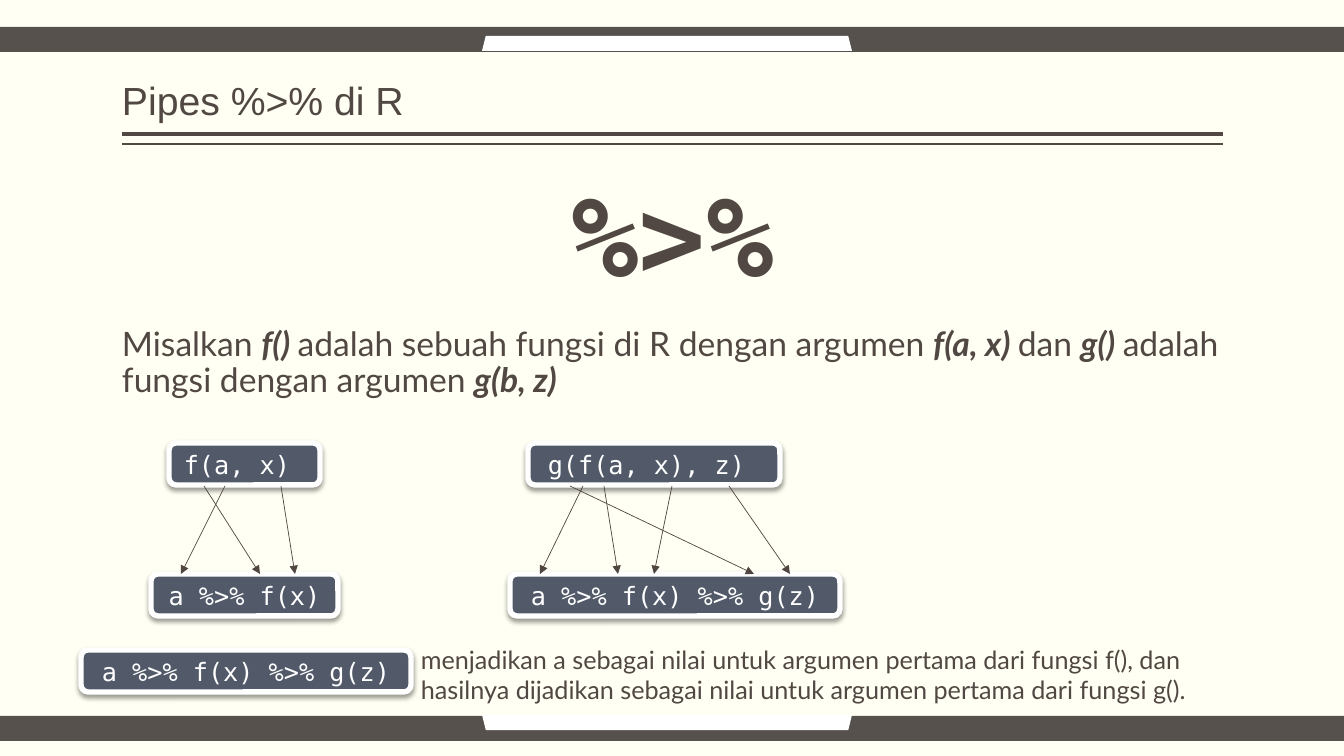
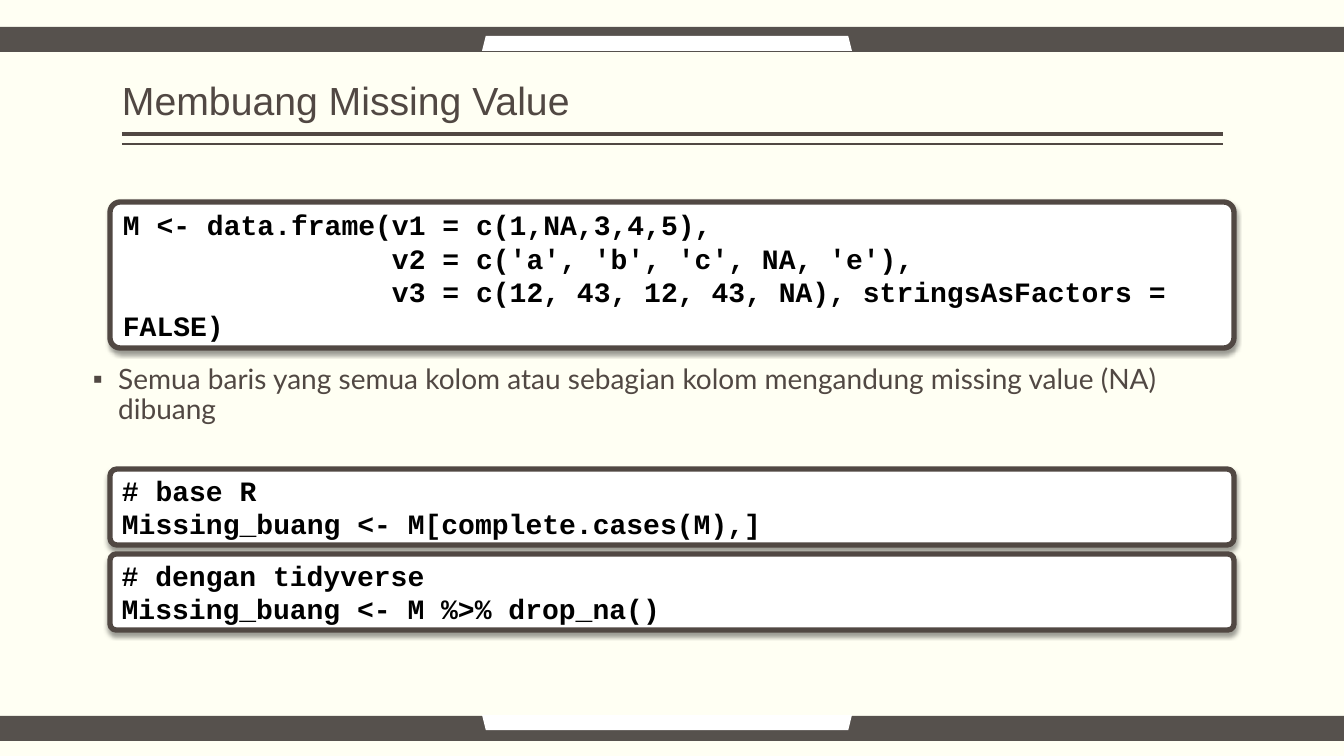
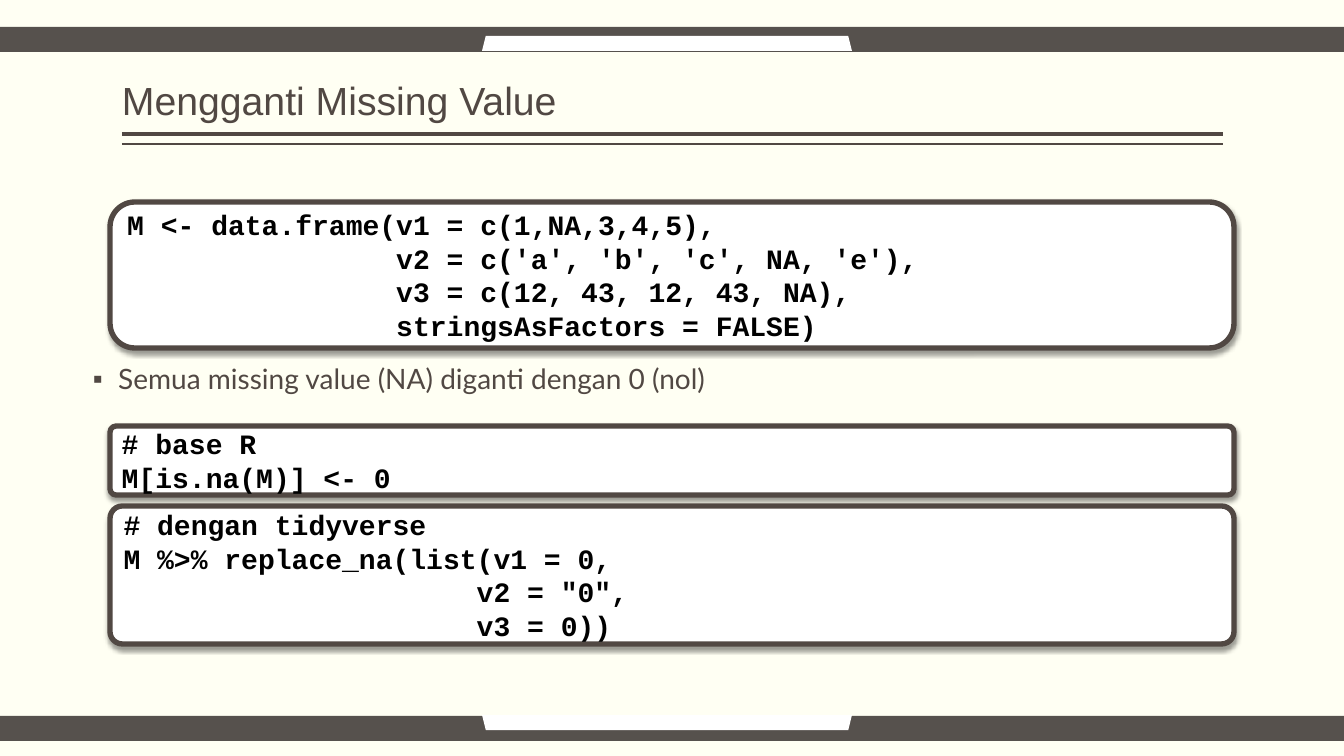
import lxml.etree
import pptx
import pptx.dml.color
import pptx.enum.shapes
import pptx.enum.text
import pptx.oxml.ns
import pptx.util

RGBColor = pptx.dml.color.RGBColor
SHAPE = pptx.enum.shapes.MSO_SHAPE
ALIGN = pptx.enum.text.PP_ALIGN
ANCHOR = pptx.enum.text.MSO_ANCHOR

CREAM = RGBColor(0xFF, 0xFF, 0xF3)
BROWN = RGBColor(0x51, 0x48, 0x43)
BAND = RGBColor(0x56, 0x51, 0x4D)
ARROW = RGBColor(0x50, 0x46, 0x41)
SLATE = RGBColor(0x52, 0x5A, 0x6A)
WHITE = RGBColor(0xFF, 0xFF, 0xFF)
BLACK = RGBColor(0x00, 0x00, 0x00)

TITLE_FONT = "Arial"
BODY_FONT = "Lato"
CODE_FONT = "Courier New"
CHIP_FONT = "DejaVu Sans Mono"

SLIDE_W, SLIDE_H = 1344, 756
EMU_PER_PX = 12192000 / SLIDE_W
MARGIN, CONTENT_W = 122, 1101
CHIP_H = 42

PIPE_CHAIN = "a %>% f(x) %>% g(z)"
FRAME_HEAD = """M <- data.frame(v1 = c(1,NA,3,4,5),
                v2 = c('a', 'b', 'c', NA, 'e'),
                v3 = c(12, 43, 12, 43, NA),"""


def px(*lengths):
    """Turn px lengths into a list of EMU."""
    return [pptx.util.Emu(round(length * EMU_PER_PX)) for length in lengths]


def add_xml(parent, tag, **attributes):
    return lxml.etree.SubElement(parent, pptx.oxml.ns.qn(tag), **attributes)


def move(shape, box):
    shape.left, shape.top, shape.width, shape.height = px(*box)


def style_run(run, font, size, color, bold=False, italic=False):
    run.font.name = font
    run.font.size = pptx.util.Pt(size)
    run.font.color.rgb = color
    run.font.bold = bold
    run.font.italic = italic


def style_text(frame, font, size, color, bold=False, align=ALIGN.LEFT):
    for paragraph in frame.paragraphs:
        paragraph.alignment = align
        for run in paragraph.runs:
            style_run(run, font, size, color, bold)


def set_placeholder_frame(frame, anchor):
    frame.auto_size = pptx.enum.text.MSO_AUTO_SIZE.NONE
    frame.word_wrap = True
    frame.vertical_anchor = anchor
    frame.margin_left = frame.margin_right = 0
    frame.margin_top = frame.margin_bottom = pptx.util.Pt(3.6)


def add_block(slide, kind, box, fill):
    block = slide.shapes.add_shape(kind, *px(*box))
    block.shadow.inherit = False
    block.fill.solid()
    block.fill.fore_color.rgb = fill
    block.line.fill.background()
    return block


def add_line(slide, start, end, color, width):
    line = slide.shapes.add_connector(
        pptx.enum.shapes.MSO_CONNECTOR.STRAIGHT, *px(*start, *end))
    line.line.color.rgb = color
    line.line.width = pptx.util.Pt(width)
    add_xml(line.element.spPr, "a:effectLst")
    return line


def add_arrow(slide, start, end):
    arrow = add_line(slide, start, end, ARROW, 0.5)
    outline = arrow.element.spPr.find(pptx.oxml.ns.qn("a:ln"))
    add_xml(outline, "a:tailEnd", type="triangle")


def add_raised_box(slide, box, text, fill, border):
    """Add a rounded box with a thick border and a soft shadow below."""
    raised = add_block(slide, SHAPE.ROUNDED_RECTANGLE, box, fill)
    raised.line.color.rgb = border
    raised.line.width = pptx.util.Pt(3.82)
    effects = raised.element.spPr.find(pptx.oxml.ns.qn("a:effectLst"))
    shadow = add_xml(effects, "a:outerShdw", blurRad="44450", dist="25400",
                     dir="5400000", algn="ctr", rotWithShape="0")
    shade = add_xml(shadow, "a:srgbClr", val=str(BLACK))
    add_xml(shade, "a:alpha", val="38000")
    raised.text_frame.word_wrap = True
    raised.text_frame.vertical_anchor = ANCHOR.MIDDLE
    raised.text_frame.text = text
    return raised


def add_chip(slide, left, top, width, text):
    chip = add_raised_box(slide, (left, top, width, CHIP_H), text, SLATE, WHITE)
    style_text(chip.text_frame, CHIP_FONT, 18, WHITE, align=ALIGN.CENTER)


def add_code_box(slide, top, height, corner, code):
    box = add_raised_box(slide, (110, top, 1124, height), code, WHITE, BROWN)
    box.adjustments[0] = corner
    style_text(box.text_frame, CODE_FONT, 20, BLACK, bold=True)


def prepare_layout(layout):
    layout.slide_master.background.fill.solid()
    layout.slide_master.background.fill.fore_color.rgb = CREAM
    for placeholder in list(layout.placeholders):
        if placeholder.placeholder_format.idx >= 10:
            layout.shapes.element.remove(placeholder.element)
    move(layout.placeholders[0], (MARGIN, 8, CONTENT_W, 121))


def add_frame(slide):
    """Draw the bands and title rules, then hand them to the layout."""
    parts = []
    for band_top, tab_top, turn in ((27, 36, 0), (716, 715, 180)):
        parts.append(add_block(
            slide, SHAPE.RECTANGLE, (0, band_top, SLIDE_W, 25), BAND))
        tab = add_block(slide, SHAPE.TRAPEZOID, (482, tab_top, 370, 15), WHITE)
        tab.rotation = turn
        parts.append(tab)
    for y, width in ((134, 3), (144, 1)):
        parts.append(add_line(
            slide, (MARGIN, y), (MARGIN + CONTENT_W, y), BROWN, width))
    for part in parts:
        slide.slide_layout.shapes.element.append(part.element)


def add_titled_slide(deck, layout, title):
    slide = deck.slides.add_slide(layout)
    frame = slide.shapes.title.text_frame
    set_placeholder_frame(frame, ANCHOR.BOTTOM)
    frame.text = title
    style_text(frame, TITLE_FONT, 28, BROWN)
    frame.paragraphs[0].line_spacing = 0.9
    return slide


def place_body(slide, box):
    body = slide.placeholders[1]
    move(body, box)
    set_placeholder_frame(body.text_frame, ANCHOR.TOP)
    return body.text_frame


def set_bullet(paragraph, indent, character=None):
    properties = paragraph._p.get_or_add_pPr()
    properties.set("marL", str(indent))
    properties.set("indent", str(-indent))
    if character:
        add_xml(properties, "a:buChar", char=character)
    else:
        add_xml(properties, "a:buNone")
    paragraph.line_spacing = 0.9


def add_pipe_intro(slide, box):
    frame = place_body(slide, box)
    frame.text = "%>%"
    operator = frame.paragraphs[0]
    set_bullet(operator, 0)
    operator.space_before = pptx.util.Pt(0)
    style_text(frame, CHIP_FONT, 80, BROWN, bold=True, align=ALIGN.CENTER)

    premise = frame.add_paragraph()
    set_bullet(premise, 0)
    premise.space_before = pptx.util.Pt(18)
    premise.alignment = ALIGN.LEFT
    phrases = ("Misalkan ", "f() ", "adalah sebuah fungsi di R dengan argumen ",
               "f(a, x) ", "dan ", "g() ", "adalah fungsi dengan argumen ",
               "g(b, z)")
    for position, phrase in enumerate(phrases):
        run = premise.add_run()
        run.text = phrase
        is_call = position % 2 == 1
        style_run(run, BODY_FONT, 24, BROWN, bold=is_call, italic=is_call)


def add_pipe_diagram(slide, left, top, nested, piped, arrows):
    """Link a nested call to its piped form below; arrows are x offsets."""
    piped_top = top + 131
    for (text, width), x, y in ((nested, left + 18, top),
                                (piped, left, piped_top)):
        add_chip(slide, x, y, width, text)
    for start, end in arrows:
        add_arrow(slide, (left + start, top + CHIP_H + 1),
                  (left + end, piped_top))


def add_pipe_summary(slide, left, top):
    width = 330
    caption = slide.shapes.add_textbox(*px(left + width, top, 798, 72))
    caption.text_frame.word_wrap = True
    caption.text_frame.text = (
        "menjadikan a sebagai nilai untuk argumen pertama dari fungsi f(), dan "
        "hasilnya dijadikan sebagai nilai untuk argumen pertama dari fungsi g().")
    style_text(caption.text_frame, BODY_FONT, 18, BROWN)
    add_chip(slide, left, top + 11, width, PIPE_CHAIN)


def build_pipe_slide(deck, layout):
    slide = add_titled_slide(deck, layout, "Pipes %>% di R")
    add_frame(slide)
    add_pipe_intro(slide, (MARGIN, 176, CONTENT_W, 240))
    add_pipe_diagram(slide, 151, 443, ("f(a, x) ", 151), ("a %>% f(x)", 187),
                     ((74, 30), (53, 109), (130, 144)))
    add_pipe_diagram(slide, 510, 443, ("g(f(a, x), z) ", 252), (PIPE_CHAIN, 330),
                     ((73, 30), (94, 108), (162, 144), (60, 244), (219, 280)))
    add_pipe_summary(slide, 81, 639)


def build_code_slide(deck, layout, title, point, code_boxes):
    slide = add_titled_slide(deck, layout, title)
    frame = place_body(slide, (93, 360, 1159, 75))
    frame.text = point
    set_bullet(frame.paragraphs[0], pptx.util.Inches(0.25), "▪")
    frame.paragraphs[0].space_before = pptx.util.Pt(0)
    style_text(frame, BODY_FONT, 20, BROWN)
    for code_box in code_boxes:
        add_code_box(slide, *code_box)


def main():
    deck = pptx.Presentation()
    deck.slide_width, deck.slide_height = px(SLIDE_W, SLIDE_H)
    layout = deck.slide_layouts[1]
    prepare_layout(layout)

    build_pipe_slide(deck, layout)
    build_code_slide(
        deck, layout, "Membuang Missing Value",
        "Semua baris yang semua kolom atau sebagian kolom mengandung "
        "missing value (NA) dibuang",
        ((202, 146, 0.07, FRAME_HEAD + " stringsAsFactors = FALSE)"),
         (469, 76, 0.09,
          "# base R\nMissing_buang <- M[complete.cases(M),]"),
         (554, 76, 0.08,
          "# dengan tidyverse\nMissing_buang <- M %>% drop_na()")))
    build_code_slide(
        deck, layout, "Mengganti Missing Value",
        "Semua missing value (NA) diganti dengan 0 (nol)",
        ((202, 146, 0.17,
          FRAME_HEAD + "\n                stringsAsFactors = FALSE)"),
         (426, 69, 0.09, "# base R\nM[is.na(M)] <- 0"),
         (506, 138, 0.09, """# dengan tidyverse
M %>% replace_na(list(v1 = 0,
                     v2 = "0",
                     v3 = 0))""")))
    deck.save("out.pptx")


if __name__ == "__main__":
    main()
